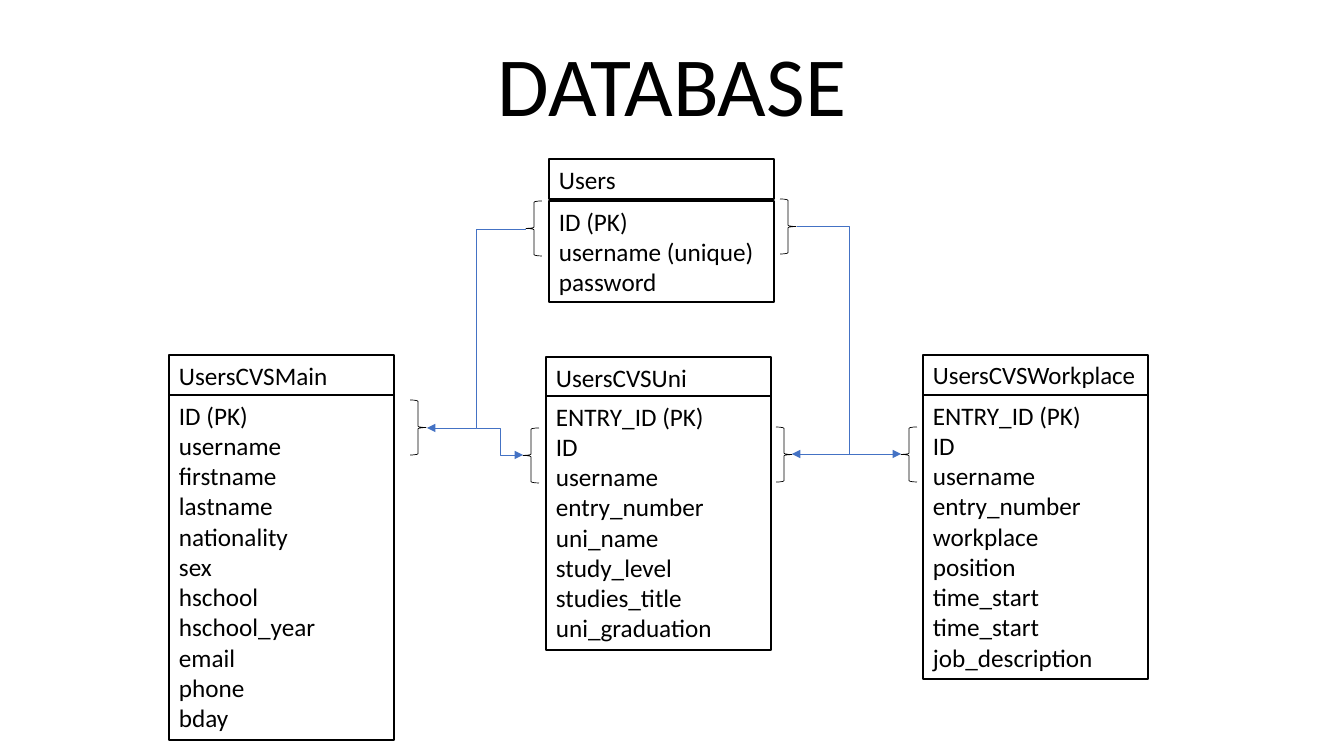
from dataclasses import dataclass

from lxml import etree
from pptx import Presentation
from pptx.dml.color import RGBColor
from pptx.enum.shapes import MSO_CONNECTOR, MSO_SHAPE
from pptx.enum.text import MSO_ANCHOR, MSO_AUTO_SIZE, PP_ALIGN
from pptx.oxml.ns import qn
from pptx.util import Emu, Pt

EMU_PER_PIXEL = 914400 / 100.8
FONT = "Calibri"
BLACK, WHITE, BLUE = "000000", "FFFFFF", "4472C4"
ENTITY_WIDTH, HEAD_HEIGHT = 225, 40
BRACE_WIDTH, BRACE_HEIGHT = 16, 55


@dataclass
class Entity:
    """A database table with its name and columns."""
    left: int
    top: int
    body_top: int
    name: str
    columns: list[str]
    name_size: float = 18


@dataclass
class Brace:
    """A brace beside an entity; it points left unless turned."""
    left: int
    top: int
    turned: bool = False


@dataclass
class Link:
    """An arrow between two points."""
    start: tuple[int, int]
    end: tuple[int, int]
    kind: MSO_CONNECTOR = MSO_CONNECTOR.ELBOW


ENTITIES = [
    Entity(549, 159, 201, "Users", ["ID (PK)", "username (unique)", "password"]),
    Entity(169, 355, 395, "UsersCVSMain",
           ["ID (PK)", "username", "firstname", "lastname", "nationality", "sex",
            "hschool", "hschool_year", "email", "phone", "bday"]),
    Entity(546, 357, 396, "UsersCVSUni",
           ["ENTRY_ID (PK)", "ID", "username", "entry_number", "uni_name",
            "study_level", "studies_title", "uni_graduation"]),
    Entity(923, 355, 395, "UsersCVSWorkplace",
           ["ENTRY_ID (PK)", "ID", "username", "entry_number", "workplace",
            "position", "time_start", "time_start", "job_description"], 17.8),
]
BRACES = [
    Brace(526, 201), Brace(780, 199, True), Brace(523, 428),
    Brace(901, 427), Brace(776, 427, True), Brace(410, 400, True),
]
LINKS = [
    Link((797, 226), (901, 454)),
    Link((851, 454), (792, 454), MSO_CONNECTOR.STRAIGHT),
    Link((526, 229), (427, 428)),
    Link((477, 428), (523, 455)),
]


def px(n: float) -> Emu:
    """Turn pixels into EMU."""
    return Emu(round(n * EMU_PER_PIXEL))


def rgb(value: str) -> RGBColor:
    """Turn a hex string into a colour."""
    return RGBColor.from_string(value)


def write(tf, lines: list[str], size: float) -> None:
    """Fill a text frame with one paragraph for each line."""
    tf.word_wrap = True
    for i, line in enumerate(lines):
        p = tf.paragraphs[0] if i == 0 else tf.add_paragraph()
        p.text = line
        p.alignment = PP_ALIGN.LEFT
        p.font.name = FONT
        p.font.size = Pt(size)
        p.font.color.rgb = rgb(BLACK)


def add_title(s, text: str) -> None:
    """Draw the slide heading."""
    tf = s.shapes.add_textbox(px(168), px(31), px(1008), px(109)).text_frame
    write(tf, [text], 60)
    tf.vertical_anchor = MSO_ANCHOR.BOTTOM
    p = tf.paragraphs[0]
    p.alignment = PP_ALIGN.CENTER
    p.line_spacing = 0.9


def add_box(s, left: int, top: int, height: int, lines: list[str], size: float) -> None:
    """Draw one outlined box of text."""
    sp = s.shapes.add_shape(MSO_SHAPE.RECTANGLE, px(left), px(top),
                            px(ENTITY_WIDTH), px(height))
    sp.shadow.inherit = False
    sp.fill.solid()
    sp.fill.fore_color.rgb = rgb(WHITE)
    sp.line.color.rgb = rgb(BLACK)
    sp.line.width = Pt(1)
    tf = sp.text_frame
    write(tf, lines, size)
    tf.vertical_anchor = MSO_ANCHOR.TOP
    tf.auto_size = MSO_AUTO_SIZE.SHAPE_TO_FIT_TEXT


def add_entity(s, entity: Entity) -> None:
    """Draw the name box and the column box of an entity."""
    add_box(s, entity.left, entity.top, HEAD_HEIGHT, [entity.name], entity.name_size)
    body_height = 10 + 61 * len(entity.columns) // 2
    add_box(s, entity.left, entity.body_top, body_height, entity.columns, 18)


def add_brace(s, brace: Brace) -> None:
    """Draw a thin brace."""
    sp = s.shapes.add_shape(MSO_SHAPE.LEFT_BRACE, px(brace.left), px(brace.top),
                            px(BRACE_WIDTH), px(BRACE_HEIGHT))
    sp.shadow.inherit = False
    sp.fill.background()
    sp.line.color.rgb = rgb(BLACK)
    sp.line.width = Pt(0.5)
    sp.rotation = 180 if brace.turned else 0


def add_link(s, link: Link) -> None:
    """Draw a connector with an arrowhead at its end."""
    cxn = s.shapes.add_connector(link.kind, *map(px, link.start + link.end))
    cxn.line.color.rgb = rgb(BLUE)
    cxn.line.width = Pt(0.5)
    etree.SubElement(cxn.line._get_or_add_ln(), qn("a:tailEnd"), type="triangle")
    etree.SubElement(cxn._element.spPr, qn("a:effectLst"))


def main() -> None:
    """Build and save the slide."""
    prs = Presentation()
    prs.slide_width, prs.slide_height = px(1344), px(756)
    s = prs.slides.add_slide(prs.slide_layouts[6])
    add_title(s, "DATABASE")
    for entity in ENTITIES:
        add_entity(s, entity)
    for brace in BRACES:
        add_brace(s, brace)
    for link in LINKS:
        add_link(s, link)
    prs.save("out.pptx")


main()
